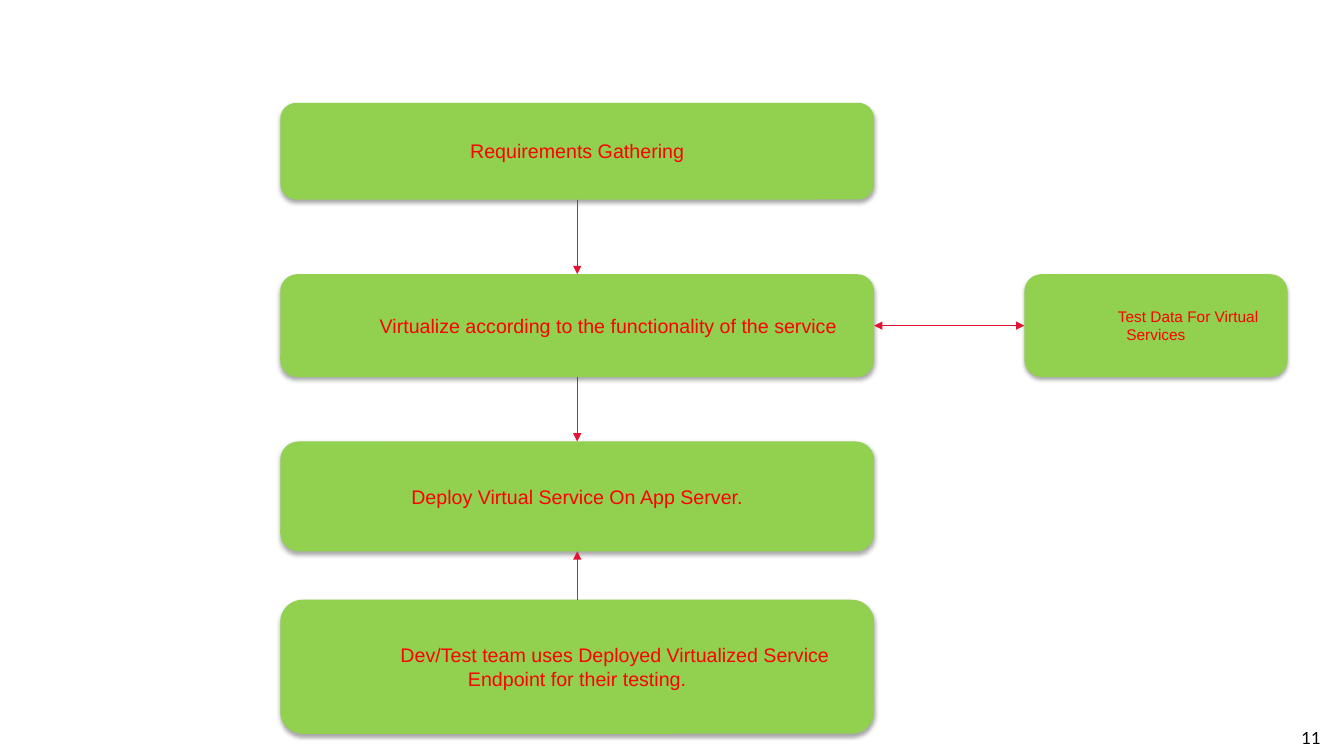
from lxml.etree import SubElement
from pptx import Presentation
from pptx.dml.color import RGBColor
from pptx.enum.shapes import MSO_CONNECTOR, MSO_SHAPE
from pptx.enum.text import MSO_ANCHOR, PP_ALIGN
from pptx.oxml import parse_xml
from pptx.oxml.ns import nsdecls, qn
from pptx.util import Pt

PX = 9144
GREEN = RGBColor(0x92, 0xD0, 0x50)
RED = RGBColor(0xFF, 0x00, 0x00)
CRIMSON = RGBColor(0xE3, 0x13, 0x32)
BLACK = RGBColor(0x00, 0x00, 0x00)
TOP, LEFT, BOTTOM, RIGHT = range(4)

STEPS = [
    ("Requirements Gathering", 0, 96, 0),
    ("Virtualize according to the functionality of the service", 170, 102, 62),
    ("Deploy Virtual Service On App Server.", 336, 109, 0),
    ("Dev/Test team uses Deployed Virtualized Service Endpoint for their testing.", 493, 133, 75),
]
SHADOW = (
    f'<a:effectLst {nsdecls("a")}><a:outerShdw blurRad="{Pt(3.1)}" dist="{Pt(1.8)}" '
    'dir="5400000" rotWithShape="0"><a:srgbClr val="000000"><a:alpha val="35000"/>'
    '</a:srgbClr></a:outerShdw></a:effectLst>'
)


def style_paragraph(paragraph, text, font_name, size, color, alignment):
    """Write a paragraph in one font."""
    paragraph.text = text
    paragraph.alignment = alignment
    paragraph.font.name = font_name
    paragraph.font.size = Pt(size)
    paragraph.font.color.rgb = color


def add_step(slide, text, box, size, first_indent):
    """Add a shadowed rounded step whose first line may be indented."""
    shape = slide.shapes.add_shape(MSO_SHAPE.ROUNDED_RECTANGLE, *(length * PX for length in box))
    shape.fill.solid()
    shape.fill.fore_color.rgb = GREEN
    shape.line.fill.background()
    shape._element.spPr.append(parse_xml(SHADOW))
    frame = shape.text_frame
    frame.word_wrap = True
    frame.vertical_anchor = MSO_ANCHOR.MIDDLE
    paragraph = frame.paragraphs[0]
    style_paragraph(paragraph, text, "Arial", size, RED, PP_ALIGN.CENTER)
    paragraph._p.get_or_add_pPr().set("indent", str(first_indent * PX))
    return shape


def add_arrow(slide, start, start_site, end, end_site, both_ways=False):
    """Join two steps with an arrow."""
    connector = slide.shapes.add_connector(MSO_CONNECTOR.STRAIGHT, 0, 0, 0, 0)
    connector.begin_connect(start, start_site)
    connector.end_connect(end, end_site)
    connector.line.color.rgb = CRIMSON
    connector.line.width = Pt(0.75)
    line = connector.line._get_or_add_ln()
    for tag in ("a:headEnd", "a:tailEnd") if both_ways else ("a:tailEnd",):
        SubElement(line, qn(tag), type="triangle")
    SubElement(connector._element.spPr, qn("a:effectLst"))


def add_flow(slide, left, top, width):
    """Add the column of steps, the test data beside it and the arrows."""
    gathering, virtualize, deploy, team = [
        add_step(slide, text, (left, top + offset, width, height), 14, indent)
        for text, offset, height, indent in STEPS
    ]
    _, offset, height, _ = STEPS[1]
    test_data = add_step(slide, "Test Data For Virtual Services",
                         (left + width + 149, top + offset, 261, height), 11, 64)
    add_arrow(slide, gathering, BOTTOM, virtualize, TOP)
    add_arrow(slide, virtualize, BOTTOM, deploy, TOP)
    add_arrow(slide, team, TOP, deploy, BOTTOM)
    add_arrow(slide, virtualize, RIGHT, test_data, LEFT, both_ways=True)


def add_slide_number(slide, left, top, width, height):
    """Add the slide number in the corner."""
    box = slide.shapes.add_textbox(left * PX, top * PX, width * PX, height * PX)
    frame = box.text_frame
    frame.margin_left = frame.margin_right = frame.margin_top = frame.margin_bottom = 0
    frame.word_wrap = False
    frame.vertical_anchor = MSO_ANCHOR.MIDDLE
    style_paragraph(frame.paragraphs[0], "11", "Lato", 12, BLACK, PP_ALIGN.RIGHT)


def main():
    """Build and save the presentation."""
    presentation = Presentation()
    presentation.slide_width = 1333 * PX
    presentation.slide_height = 750 * PX
    slide = presentation.slides.add_slide(presentation.slide_layouts[6])
    add_slide_number(slide, 1289, 722, 21, 20)
    add_flow(slide, 278, 102, 589)
    presentation.save("out.pptx")


if __name__ == "__main__":
    main()
